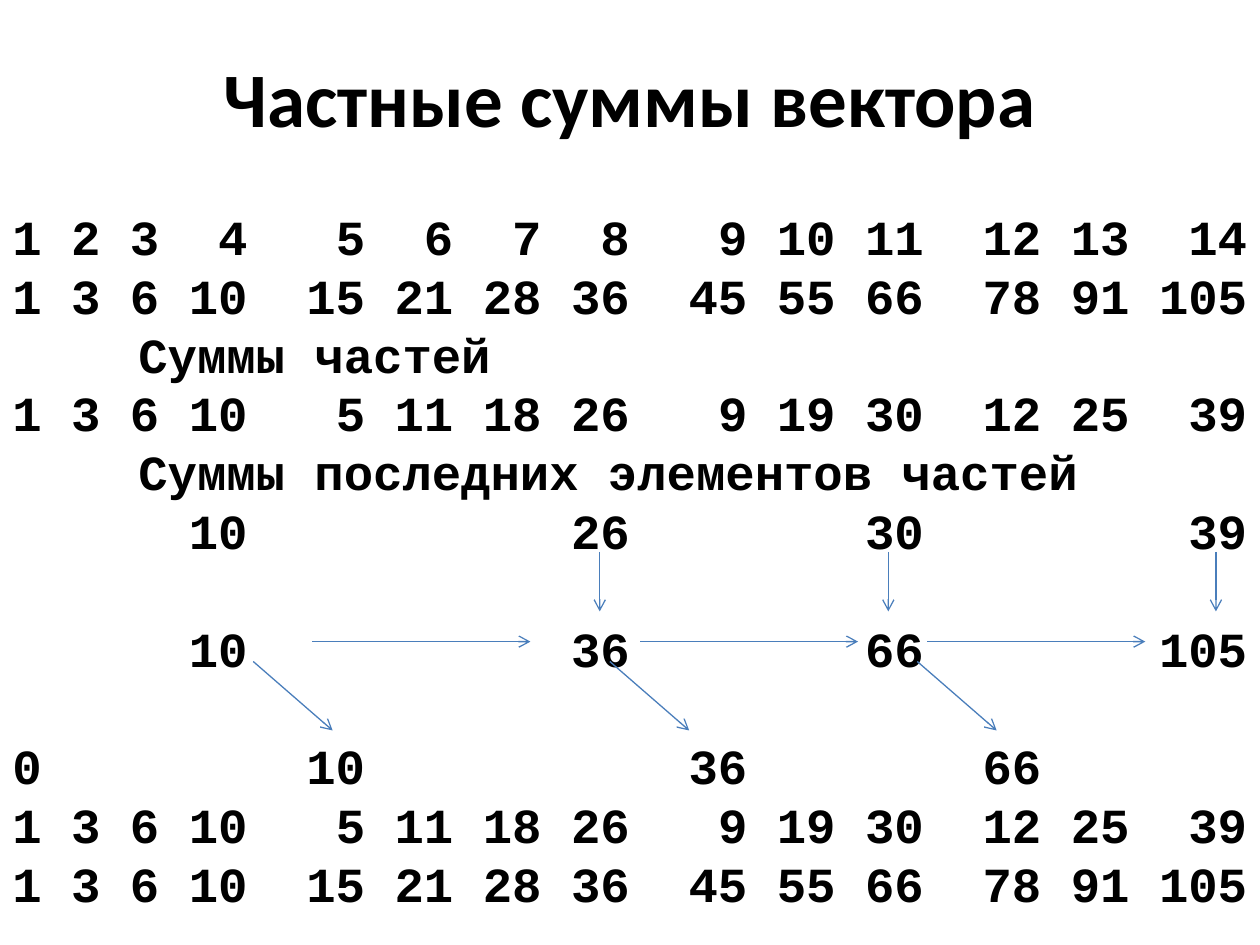
from lxml.etree import SubElement
from pptx import Presentation
from pptx.dml.color import RGBColor
from pptx.enum.shapes import MSO_CONNECTOR as Link
from pptx.enum.text import MSO_ANCHOR as Anchor, PP_ALIGN as Align
from pptx.oxml.ns import qn
from pptx.util import Inches, Pt

COLORS = {"text": "000000", "arrow": "4A7EBB"}
WIDTH, HEIGHT = Inches(10), Inches(7.5)
TITLE = "Частные суммы вектора"
TITLE_FONT = {"name": "Calibri", "size": Pt(44), "bold": True}
CODE_FONT = {"name": "Courier New", "size": Pt(28), "bold": True}
CHAR = Pt(16.8)
LINE = Pt(33.6)
COLUMN_ENDS = (1, 3, 5, 8, 12, 15, 18, 21, 25, 28, 31, 35, 38, 42)
PART_SIZES = (4, 4, 3, 3)


def running_sums(values):
    return [sum(values[:end]) for end in range(1, len(values) + 1)]


def split_parts(values):
    parts, start = [], 0
    for size in PART_SIZES:
        parts.append(values[start:start + size])
        start += size
    return parts


def spread(cells):
    last = max(cells)
    return "\t".join(str(cells.get(column, "")) for column in range(last + 1))


def vector_rows():
    vector = list(range(1, 15))
    sums = [running_sums(part) for part in split_parts(vector)]
    ends = [end - 1 for end in running_sums(PART_SIZES)]
    starts = [0] + [end + 1 for end in ends[:-1]]
    totals = [part[-1] for part in sums]
    carried = running_sums(totals)
    first = spread(dict(enumerate(vector)))
    partial = spread(dict(enumerate(sum(sums, []))))
    final = spread(dict(enumerate(running_sums(vector))))
    return [
        (first, 0, 0),
        (final, 0, 0),
        ("Суммы частей", 1, 0),
        (partial, 0, 0),
        ("Суммы последних элементов частей", 1, 0),
        (spread(dict(zip(ends, totals))), 0, 0),
        (spread(dict(zip(ends, carried))), 0, 1),
        (spread(dict(zip(starts, [0] + carried[:-1]))), 0, 1),
        (partial, 0, 0),
        (final, 0, 0),
    ]


def place(shape, box):
    for name, value in zip(("left", "top", "width", "height"), box):
        setattr(shape, name, Inches(value))


def format_font(font, values):
    for name, value in values.items():
        setattr(font, name, value)
    font.color.rgb = RGBColor.from_string(COLORS["text"])


def add_title(page, box):
    title = page.shapes.title
    place(title, box)
    frame = title.text_frame
    frame.text = TITLE
    frame.vertical_anchor = Anchor.MIDDLE
    para = frame.paragraphs[0]
    para.alignment = Align.CENTER
    format_font(para.runs[0].font, TITLE_FONT)


def add_tabs(para):
    tabs = SubElement(para._p.get_or_add_pPr(), qn("a:tabLst"))
    for end in COLUMN_ENDS[1:]:
        SubElement(tabs, qn("a:tab"), pos=str(int(end * CHAR)), algn="r")


def add_rows(page, box):
    frame = page.shapes.add_textbox(*map(Inches, box)).text_frame
    insets = {"margin_left": 0.1, "margin_top": 0.09, "margin_right": 0, "margin_bottom": 0.05}
    for name, value in insets.items():
        setattr(frame, name, Inches(value))
    frame.word_wrap = True
    for index, (text, indent, gap) in enumerate(vector_rows()):
        para = frame.add_paragraph() if index else frame.paragraphs[0]
        para.line_spacing = LINE
        if gap:
            para.space_before = gap * LINE
        if indent:
            para._p.get_or_add_pPr().set("marL", str(Inches(indent)))
        else:
            add_tabs(para)
        span = para.add_run()
        span.text = text
        format_font(span.font, CODE_FONT)


def add_arrow(page, left, top, across, down):
    ends = (left * WIDTH, top * HEIGHT, (left + across) * WIDTH, (top + down) * HEIGHT)
    arrow = page.shapes.add_connector(Link.STRAIGHT, *(int(end / 100) for end in ends))
    arrow.line.color.rgb = RGBColor.from_string(COLORS["arrow"])
    arrow.line.width = Pt(0.75)
    SubElement(arrow.line._get_or_add_ln(), qn("a:tailEnd"), type="arrow")
    SubElement(arrow._element.spPr, qn("a:effectLst"))


def add_arrows(page):
    groups = [
        ((47.6, 70.5, 96.5), 58.4, 0, 6.3),
        ((20.1, 48.4, 72.8), 70, 6.3, 7.3),
        ((24.8, 50.8, 73.6), 67.9, 17.3, 0),
    ]
    for lefts, top, across, down in groups:
        for left in lefts:
            add_arrow(page, left, top, across, down)


def main():
    deck = Presentation()
    deck.slide_width, deck.slide_height = WIDTH, HEIGHT
    page = deck.slides.add_slide(deck.slide_layouts[5])
    add_title(page, (0.5, 0.3, 9, 0.93))
    add_rows(page, (0, 1.55, 10, 5.71))
    add_arrows(page)
    deck.save("out.pptx")


if __name__ == "__main__":
    main()
